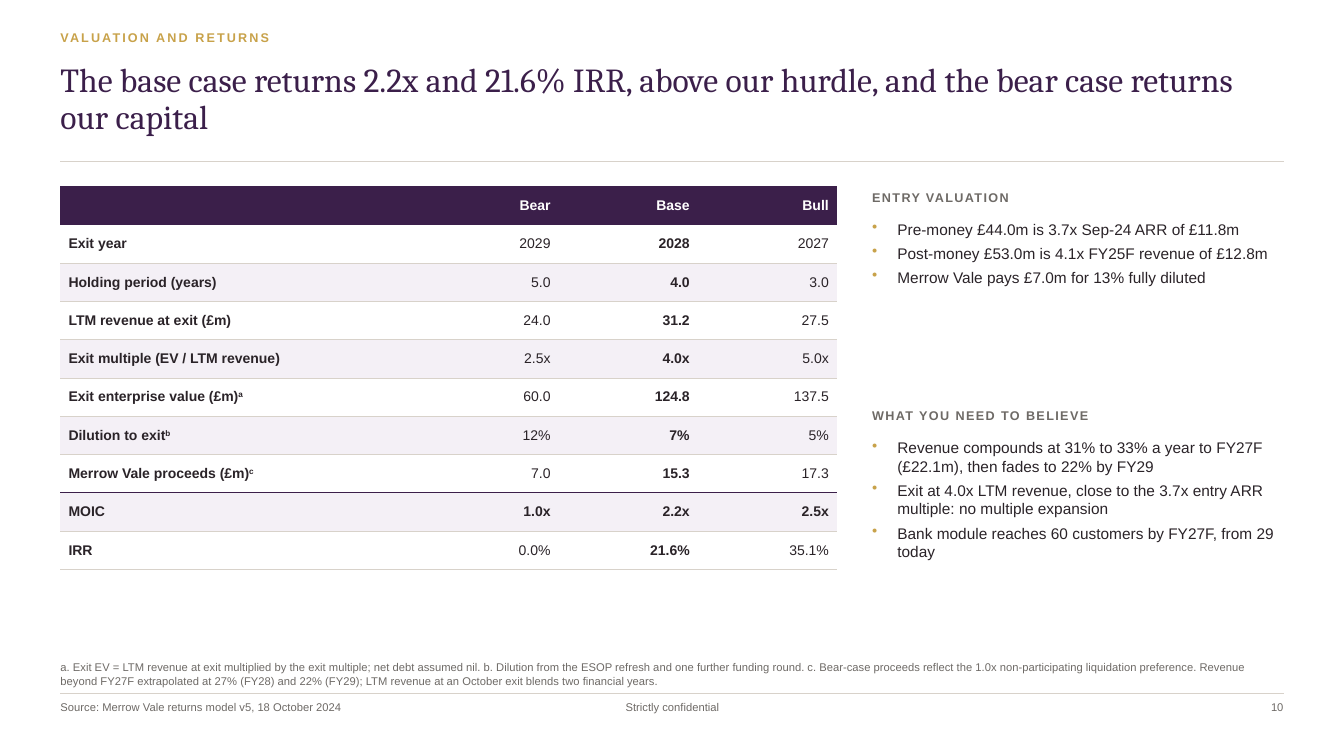
from lxml.etree import SubElement
from pptx import Presentation
from pptx.dml.color import RGBColor
from pptx.enum.shapes import MSO_CONNECTOR
from pptx.enum.text import MSO_ANCHOR, PP_ALIGN
from pptx.oxml.ns import qn
from pptx.util import Emu, Pt

PLUM, GOLD, INK, GREY = "3B1F4A", "C8A24A", "2A2328", "6E6A66"
RULE, TINT, WHITE = "D8D2CA", "F4F0F6", "FFFFFF"
LEFT, WIDTH, SIDE, SIDE_WIDTH = 60, 1213, 865, 408
PLAIN_TABLE = "{2D5ABB26-0587-4C30-8999-92F81FD0307C}"


def px(length):
    """One hundred px make an inch."""
    return Emu(length * 9144)


def color(code):
    return RGBColor.from_string(code)


class Slide:
    def __init__(self, deck, font="Arial"):
        self.page = deck.slides.add_slide(deck.slide_layouts[6])
        self.page.background.fill.solid()
        self.page.background.fill.fore_color.rgb = color(WHITE)
        self.font = font

    def span(self, para, words, size, ink, bold=False, font=None, spacing=0, raised=False):
        span = para.add_run()
        span.text = words
        span.font.name = font or self.font
        span.font.size = Pt(size)
        span.font.bold = bold
        span.font.color.rgb = color(ink)
        properties = span.font._element
        if spacing:
            properties.set("spc", str(spacing))
        if raised:
            properties.set("baseline", "30000")

    def frame(self, left, top, width, height, anchor=MSO_ANCHOR.TOP):
        frame = self.page.shapes.add_textbox(px(left), px(top), px(width), px(height)).text_frame
        frame.margin_left = frame.margin_right = frame.margin_top = frame.margin_bottom = 0
        frame.word_wrap = True
        frame.vertical_anchor = anchor
        return frame

    def text(self, place, words, size, ink, align=PP_ALIGN.LEFT, anchor=MSO_ANCHOR.TOP,
             leading=None, **style):
        para = self.frame(*place, anchor).paragraphs[0]
        para.alignment = align
        if leading:
            para.line_spacing = leading
        self.span(para, words, size, ink, **style)

    def bullets(self, place, items):
        frame = self.frame(*place)
        for index, item in enumerate(items):
            para = frame.add_paragraph() if index else frame.paragraphs[0]
            properties = para._p.get_or_add_pPr()
            properties.set("marL", str(px(25)))
            properties.set("indent", str(px(-25)))
            SubElement(SubElement(properties, qn("a:buClr")), qn("a:srgbClr"), val=GOLD)
            SubElement(properties, qn("a:buChar"), char="•")
            if index:
                para.space_before = Pt(4)
            self.span(para, item, 11, INK)

    def rule(self, top, weight):
        line = self.page.shapes.add_connector(
            MSO_CONNECTOR.STRAIGHT, px(LEFT), px(top), px(LEFT + WIDTH), px(top))
        line.line.color.rgb = color(RULE)
        line.line.width = Pt(weight)
        SubElement(line._element.spPr, qn("a:effectLst"))

    def border(self, cell, edge, ink, weight):
        line = SubElement(cell._tc.get_or_add_tcPr(), qn("a:" + edge), w=str(Pt(weight)))
        SubElement(SubElement(line, qn("a:solidFill")), qn("a:srgbClr"), val=ink)

    def cell(self, cell, words, note, ink, bold, align, fill):
        cell.margin_left = cell.margin_right = px(8)
        cell.margin_top = cell.margin_bottom = px(4)
        cell.vertical_anchor = MSO_ANCHOR.MIDDLE
        if fill:
            cell.fill.solid()
            cell.fill.fore_color.rgb = color(fill)
        else:
            cell.fill.background()
        para = cell.text_frame.paragraphs[0]
        para.alignment = align
        if words:
            self.span(para, words, 10, ink, bold)
        if note:
            self.span(para, note, 10, ink, bold, raised=True)

    def table(self, left, top, widths, row_height, rows, notes, key_row, key_column):
        table = self.page.shapes.add_table(
            len(rows), len(widths), px(left), px(top),
            px(sum(widths)), px(row_height * len(rows))).table
        table.first_row = table.horz_banding = False
        table._tbl.tblPr.find(qn("a:tableStyleId")).text = PLAIN_TABLE
        for column, width in zip(table.columns, widths):
            column.width = px(width)
        for row, values in enumerate(rows):
            table.rows[row].height = px(row_height)
            header, key = row == 0, values[0] == key_row
            fill = PLUM if header else TINT if row % 2 == 0 else None
            for column, words in enumerate(values):
                cell = table.cell(row, column)
                if key:
                    self.border(cell, "lnT", PLUM, 1)
                if not header:
                    self.border(cell, "lnB", RULE, 0.5)
                self.cell(cell, words, notes.get(words), WHITE if header else INK,
                          header or key or column in (0, key_column),
                          PP_ALIGN.RIGHT if column else PP_ALIGN.LEFT, fill)


RETURNS = [
    ("", "Bear", "Base", "Bull"),
    ("Exit year", "2029", "2028", "2027"),
    ("Holding period (years)", "5.0", "4.0", "3.0"),
    ("LTM revenue at exit (£m)", "24.0", "31.2", "27.5"),
    ("Exit multiple (EV / LTM revenue)", "2.5x", "4.0x", "5.0x"),
    ("Exit enterprise value (£m)", "60.0", "124.8", "137.5"),
    ("Dilution to exit", "12%", "7%", "5%"),
    ("Merrow Vale proceeds (£m)", "7.0", "15.3", "17.3"),
    ("MOIC", "1.0x", "2.2x", "2.5x"),
    ("IRR", "0.0%", "21.6%", "35.1%"),
]
NOTES = {"Exit enterprise value (£m)": "a", "Dilution to exit": "b",
         "Merrow Vale proceeds (£m)": "c"}
# Heading, heading top, list top, list height, list items
SIDE_PANELS = [
    ("ENTRY VALUATION", 188, 218, 175, [
        "Pre-money £44.0m is 3.7x Sep-24 ARR of £11.8m",
        "Post-money £53.0m is 4.1x FY25F revenue of £12.8m",
        "Merrow Vale pays £7.0m for 13% fully diluted"]),
    ("WHAT YOU NEED TO BELIEVE", 405, 435, 205, [
        "Revenue compounds at 31% to 33% a year to FY27F (£22.1m), then fades to 22% by FY29",
        "Exit at 4.0x LTM revenue, close to the 3.7x entry ARR multiple: no multiple expansion",
        "Bank module reaches 60 customers by FY27F, from 29 today"]),
]
FOOTNOTE = (
    "a. Exit EV = LTM revenue at exit multiplied by the exit multiple; net debt assumed nil. "
    "b. Dilution from the ESOP refresh and one further funding round. "
    "c. Bear-case proceeds reflect the 1.0x non-participating liquidation preference. "
    "Revenue beyond FY27F extrapolated at 27% (FY28) and 22% (FY29); "
    "LTM revenue at an October exit blends two financial years.")


def main():
    deck = Presentation()
    deck.slide_width, deck.slide_height = px(1333), px(750)
    slide = Slide(deck)

    # Heading
    slide.text((LEFT, 30, 700, 25), "VALUATION AND RETURNS", 9, GOLD, bold=True, spacing=150)
    slide.text((LEFT, 62, WIDTH, 90),
               "The base case returns 2.2x and 21.6% IRR, above our hurdle, "
               "and the bear case returns our capital",
               24, PLUM, leading=0.92, font="Cambria")
    slide.rule(160, 0.75)

    # Returns by case
    slide.table(LEFT, 185, [356, 138, 138, 138], 38, RETURNS, NOTES, "MOIC", 2)

    # Side panels
    for heading, heading_top, list_top, list_height, items in SIDE_PANELS:
        slide.text((SIDE, heading_top, SIDE_WIDTH, 22), heading, 9, GREY, bold=True, spacing=100)
        slide.bullets((SIDE, list_top, SIDE_WIDTH, list_height), items)

    # Footnote and footer
    slide.text((LEFT, 642, WIDTH, 40), FOOTNOTE, 8, GREY, anchor=MSO_ANCHOR.BOTTOM)
    slide.rule(688, 0.5)
    slide.text((LEFT, 695, 500, 40), "Source: Merrow Vale returns model v5, 18 October 2024", 8, GREY)
    slide.text((567, 695, 200, 25), "Strictly confidential", 8, GREY, PP_ALIGN.CENTER)
    slide.text((1173, 695, 100, 25), "10", 8, GREY, PP_ALIGN.RIGHT)

    deck.save("out.pptx")


if __name__ == "__main__":
    main()
